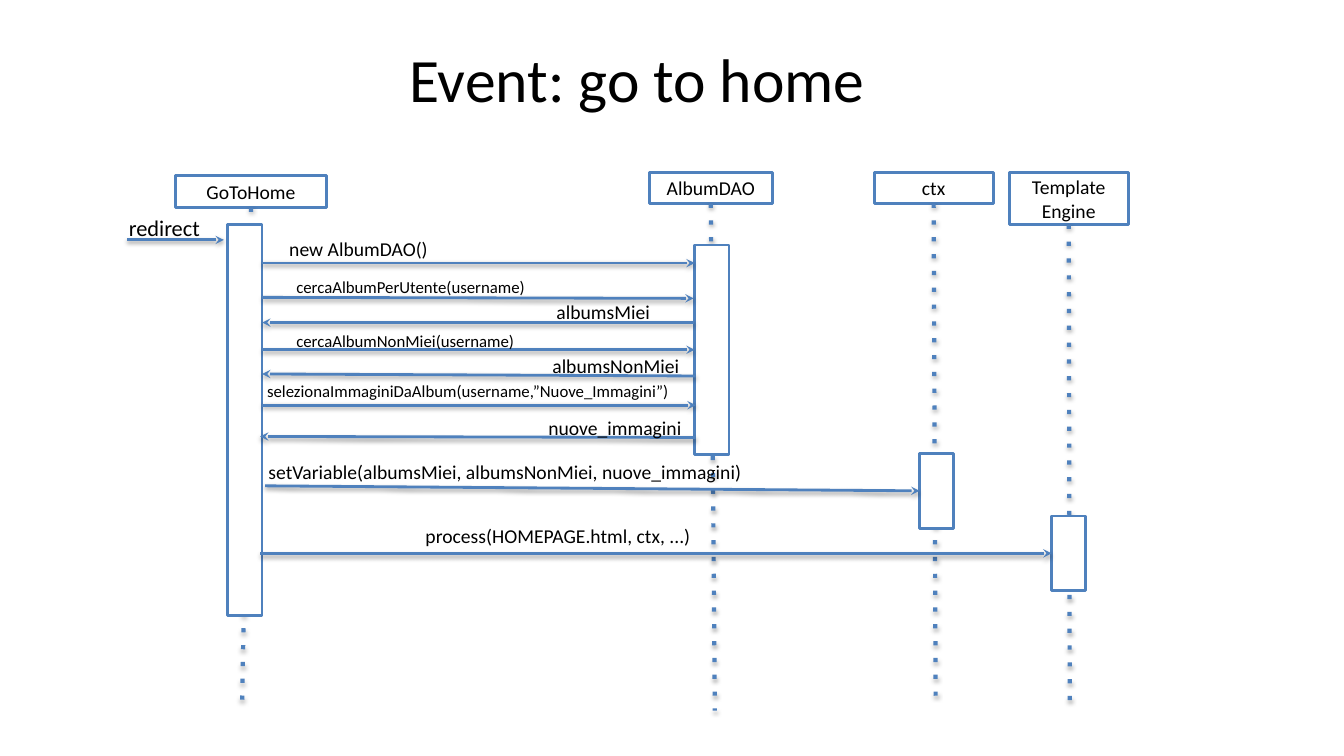
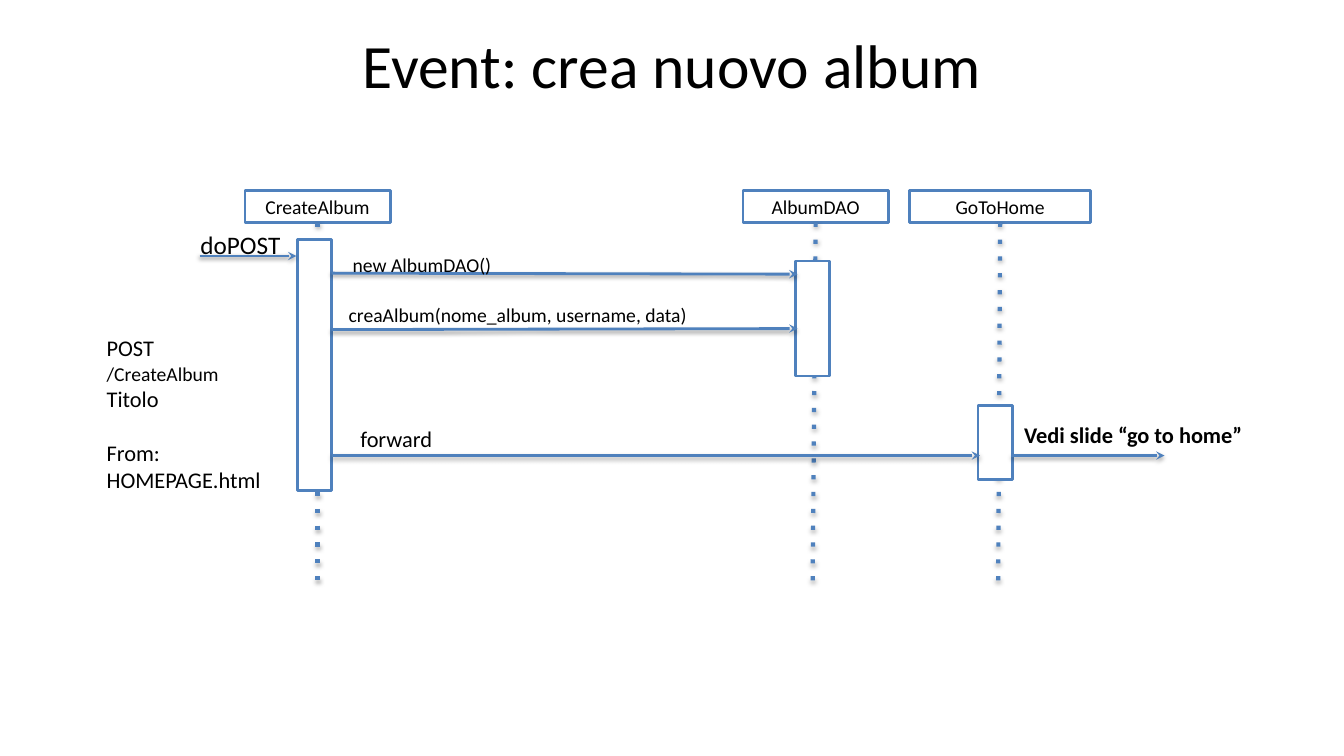
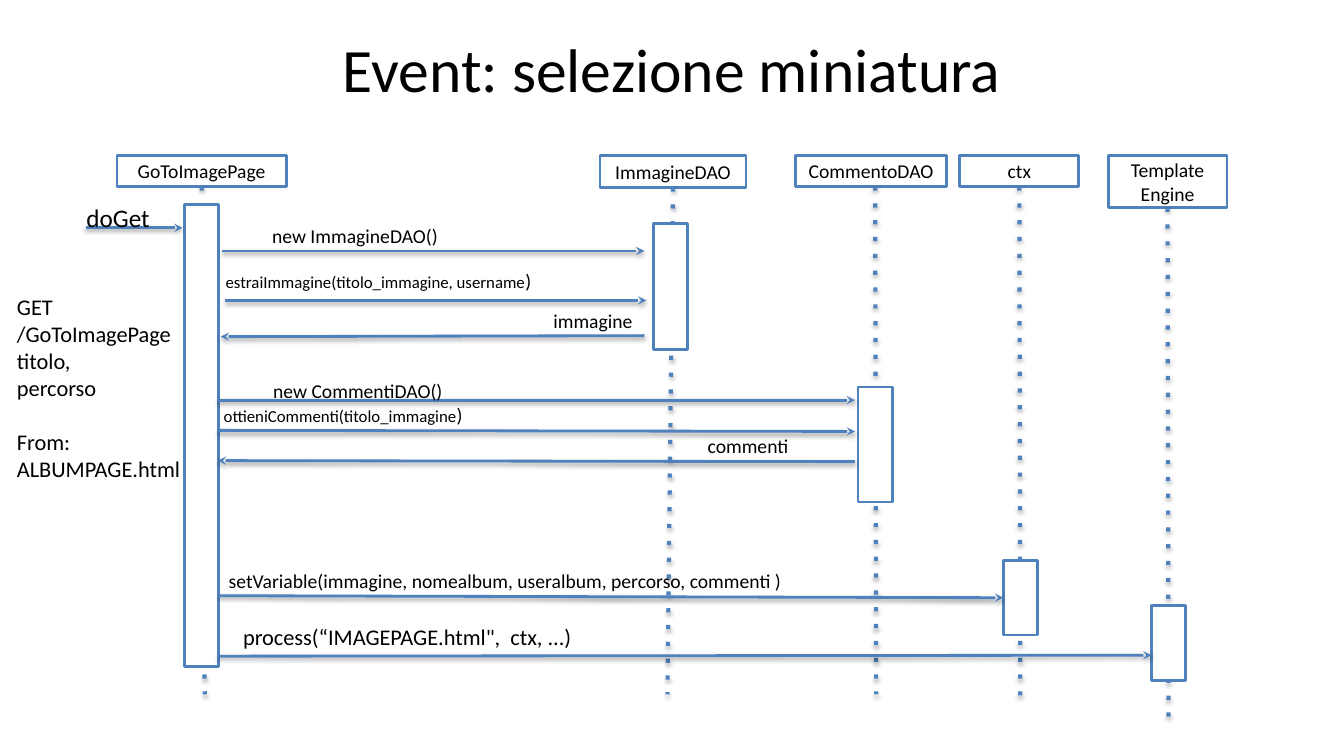
from lxml.etree import SubElement
from pptx import Presentation
from pptx.dml.color import RGBColor
from pptx.enum.shapes import MSO_CONNECTOR, MSO_SHAPE
from pptx.enum.text import MSO_ANCHOR, PP_ALIGN
from pptx.oxml.ns import qn
from pptx.util import Inches, Pt

COLUMNS, ROWS = 133.3, 75
BAR_WIDTH = 3.4
LABEL_HEIGHT = 3
JOIN_TOLERANCE = 0.3
FONT, INK, PAPER, ACCENT = "Calibri", "000000", "FFFFFF", "4F81BD"


def color(value):
    return RGBColor.from_string(value)


def write(frame, paragraphs, size=14, bold=False, align=PP_ALIGN.LEFT,
          anchor=MSO_ANCHOR.TOP, gaps=None):
    frame.word_wrap = True
    frame.vertical_anchor = anchor
    if isinstance(paragraphs, str):
        paragraphs = [paragraphs]
    for index, content in enumerate(paragraphs):
        para = frame.add_paragraph() if index else frame.paragraphs[0]
        para.alignment = align
        if gaps and index in gaps:
            para.space_before = Pt(gaps[index])
        spans = [(content, size)] if isinstance(content, str) else content
        for text, span_size in spans:
            for number, line in enumerate(text.split("\n")):
                if number:
                    para.add_line_break()
                span = para.add_run()
                span.text = line
                span.font.name = FONT
                span.font.size = Pt(span_size)
                span.font.bold = bold
                span.font.color.rgb = color(INK)


class SequenceDeck:
    def __init__(self):
        self.deck = Presentation()
        self.deck.slide_width = Inches(13.33)
        self.deck.slide_height = Inches(7.5)
        self.page = None
        self.boxes = []

    def x(self, columns):
        return round(self.deck.slide_width * columns / COLUMNS)

    def y(self, rows):
        return round(self.deck.slide_height * rows / ROWS)

    def area(self, left, top, width, height):
        return self.x(left), self.y(top), self.x(width), self.y(height)

    def open_page(self, title, top, left=0, width=COLUMNS):
        self.page = self.deck.slides.add_slide(self.deck.slide_layouts[6])
        self.boxes = []
        self.text((left, top, width, 9.4), title, size=44,
                  align=PP_ALIGN.CENTER, anchor=MSO_ANCHOR.MIDDLE)

    def text(self, place, paragraphs, **style):
        box = self.page.shapes.add_textbox(*self.area(*place))
        write(box.text_frame, paragraphs, **style)

    def box(self, left, top, width, height, name=None):
        box = self.page.shapes.add_shape(
            MSO_SHAPE.RECTANGLE, *self.area(left, top, width, height))
        box.shadow.inherit = False
        box.fill.solid()
        box.fill.fore_color.rgb = color(PAPER)
        box.line.color.rgb = color(ACCENT)
        box.line.width = Pt(2)
        if name:
            write(box.text_frame, name, align=PP_ALIGN.CENTER,
                  anchor=MSO_ANCHOR.MIDDLE)
        middle, center = left + width / 2, top + height / 2
        sides = [(middle, top), (left, center),
                 (middle, top + height), (left + width, center)]
        self.boxes.append((box, sides))

    def join(self, point, connect):
        for box, sides in self.boxes:
            for side, (column, row) in enumerate(sides):
                distance = max(abs(column - point[0]), abs(row - point[1]))
                if distance <= JOIN_TOLERANCE:
                    connect(box, side)
                    return

    def line(self, start, end, width, opacity, drop, element, **attributes):
        line = self.page.shapes.add_connector(
            MSO_CONNECTOR.STRAIGHT, self.x(start[0]), self.y(start[1]),
            self.x(end[0]), self.y(end[1]))
        line.line.color.rgb = color(ACCENT)
        line.line.width = Pt(width)
        self.join(start, line.begin_connect)
        self.join(end, line.end_connect)
        properties = line._element.spPr
        SubElement(properties.find(qn("a:ln")), qn(element), **attributes)
        effects = SubElement(properties, qn("a:effectLst"))
        shadow = SubElement(effects, qn("a:outerShdw"), blurRad=str(Pt(3.1)),
                            dist=str(Pt(drop)), dir="5400000", rotWithShape="0")
        shade = SubElement(shadow, qn("a:srgbClr"), val=INK)
        SubElement(shade, qn("a:alpha"), val=str(opacity * 1000))

    def participant(self, name, head, foot, bar, start=None):
        left, top, width, height = head
        self.box(*head, name=name)
        self.line((start or left + width / 2, top + height), foot, 3, 35, 1.8,
                  "a:prstDash", val="dot")
        bar_left, bar_top, bar_height = bar
        self.box(bar_left, bar_top, BAR_WIDTH, bar_height)

    def message(self, start, end, label, place, **style):
        self.line(start, end, 2, 38, 1.6, "a:tailEnd", type="stealth")
        self.text((*place, LABEL_HEIGHT), label, **style)


def go_to_home(show):
    show.open_page("Event: go to home", 3, left=18.2, width=90)
    show.participant("GoToHome", (17.4, 17.4, 15, 3.2), (24, 70.5),
                     (22.6, 22.3, 38.8))
    show.participant("AlbumDAO", (64.4, 17.1, 12.2, 3.1), (70.9, 70.5),
                     (68.9, 24.3, 20.8))
    show.participant("ctx", (86.7, 17.1, 11.8, 3.1), (92.8, 69.8),
                     (91.2, 45, 7.4))
    show.participant("Template\nEngine", (100.1, 17.1, 11.8, 5.2),
                     (106.1, 69.8), (104.3, 51.2, 7.4))
    show.message((12.6, 23.8), (22.2, 23.8), "redirect", (11.8, 20.8, 10),
                 size=16)
    for start, end, label, place, size in (
            ((26, 26.1), (68.9, 26.1), "new AlbumDAO()",
             (27.7, 23, 29.1), 14),
            ((26, 29.5), (68.8, 29.6), "cercaAlbumPerUtente(username)",
             (28.4, 27, 29.1), 12),
            ((68.8, 32), (26, 32), "albumsMiei", (54.2, 29.3, 13.1), 14),
            ((26, 34.7), (68.9, 34.9), "cercaAlbumNonMiei(username)",
             (28.4, 32.3, 29.1), 12),
            ((69, 37.3), (26, 37.1), "albumsNonMiei",
             (53.8, 34.6, 16.2), 14),
            ((26, 40.2), (69, 40.2),
             "selezionaImmaginiDaAlbum(username,”Nuove_Immagini”)",
             (25.5, 37.3, 42.5), 12),
            ((69, 43.4), (25.8, 43.3), "nuove_immagini",
             (53.4, 40.8, 18.5), 14)):
        show.message(start, end, label, place, size=size)
    show.message((26.3, 48.2), (91, 48.7),
                 "setVariable(albumsMiei, albumsNonMiei, nuove_immagini)",
                 (23.6, 45.1, 53), align=PP_ALIGN.CENTER)
    show.message((25.8, 54.9), (104.3, 54.9),
                 "process(HOMEPAGE.html, ctx, ...)", (35.8, 51.5, 39.1),
                 align=PP_ALIGN.CENTER)


def create_album(show):
    show.open_page("Event: crea nuovo album", 1.6)
    show.participant("CreateAlbum", (24.3, 18.9, 14.4, 3.2), (31.5, 57.7),
                     (29.5, 23.8, 24.9))
    show.participant("AlbumDAO", (73.7, 18.9, 14.4, 3.2), (80.6, 57.7),
                     (78.9, 25.9, 11.4))
    show.participant("GoToHome", (90.2, 18.9, 18, 3.2), (99, 57.7),
                     (97, 40.2, 7.4))
    show.message((19.8, 25.4), (29.4, 25.4), "doPOST", (18.9, 22.3, 10),
                 size=18)
    show.message((32.9, 27.1), (79.1, 27.2), "new AlbumDAO()",
                 (34, 24.6, 29.3))
    show.message((32.9, 32.7), (79.1, 32.6),
                 "creaAlbum(nome_album, username, data)", (33.6, 29.6, 38.9))
    show.message((32.9, 45.2), (97.2, 45.2), "forward", (33.9, 41.7, 10.8),
                 size=16, align=PP_ALIGN.CENTER)
    show.message((100.3, 45.2), (115.5, 45.2), "Vedi slide “go to home”",
                 (100, 41.3, 24.8), size=16, bold=True, align=PP_ALIGN.CENTER)
    show.text((9.6, 32.7, 22, 24.9),
              ["POST", [("/CreateAlbum", 14)], "Titolo", "From:",
               "HOMEPAGE.html"], size=16, gaps={3: 19.5})


def select_thumbnail(show):
    show.open_page("Event: selezione miniatura", 2)
    show.participant("GoToImagePage", (11.6, 15.4, 16.8, 3.1), (20.3, 68.9),
                     (18.3, 20.3, 45.8))
    show.participant("ImmagineDAO", (59.5, 15.4, 14.5, 3.2), (66.2, 68.9),
                     (64.8, 22.2, 12.5))
    show.participant("CommentoDAO", (78.9, 15.4, 15, 3.1), (86.9, 68.9),
                     (85.1, 38.4, 11.4), start=86.8)
    show.participant("ctx", (95.2, 15.4, 11.8, 3.1), (101.2, 69.7),
                     (99.5, 55.6, 7.4))
    show.participant("Template\nEngine", (109.9, 15.4, 11.8, 5.2),
                     (115.9, 71.7), (114.2, 60.1, 7.4))
    show.message((8.5, 22.6), (18.1, 22.6), "doGet", (7.6, 19.6, 10), size=18)
    for start, end, label, place in (
            ((22, 24.9), (63.9, 24.9), "new ImmagineDAO()", (26, 21.7, 20)),
            ((22.3, 29.8), (64.1, 29.8),
             [[("estraiImmagine(titolo_immagine, username", 12), (")", 14)]],
             (21.4, 26.2, 33.7)),
            ((63.9, 33.3), (21.9, 33.4), "immagine", (53.9, 30.2, 10)),
            ((21.6, 39.7), (84.8, 39.7), "new CommentiDAO()",
             (26.1, 37.1, 19.9)),
            ((21.6, 42.7), (84.8, 42.8),
             [[("ottieniCommenti(titolo_immagine", 12), (")", 14)]],
             (21.2, 39.5, 40.1)),
            ((84.8, 45.8), (21.6, 45.7), "commenti", (69.2, 42.6, 11.9)),
            ((21.6, 59.1), (99.5, 59.3),
             "setVariable(immagine, nomealbum, useralbum, percorso, commenti )",
             (21.7, 55.9, 77))):
        show.message(start, end, label, place)
    show.message((21.6, 65.1), (114.2, 65),
                 "process(“IMAGEPAGE.html\",  ctx, ...)", (21.5, 61.3, 37.8),
                 size=16, align=PP_ALIGN.CENTER)
    show.text((0.7, 28.6, 19.3, 24.9),
              ["GET", "/GoToImagePage", "titolo,", "percorso", "From:",
               "ALBUMPAGE.html"], size=16, gaps={4: 19.5})


def main():
    show = SequenceDeck()
    go_to_home(show)
    create_album(show)
    select_thumbnail(show)
    show.deck.save("out.pptx")


if __name__ == "__main__":
    main()
